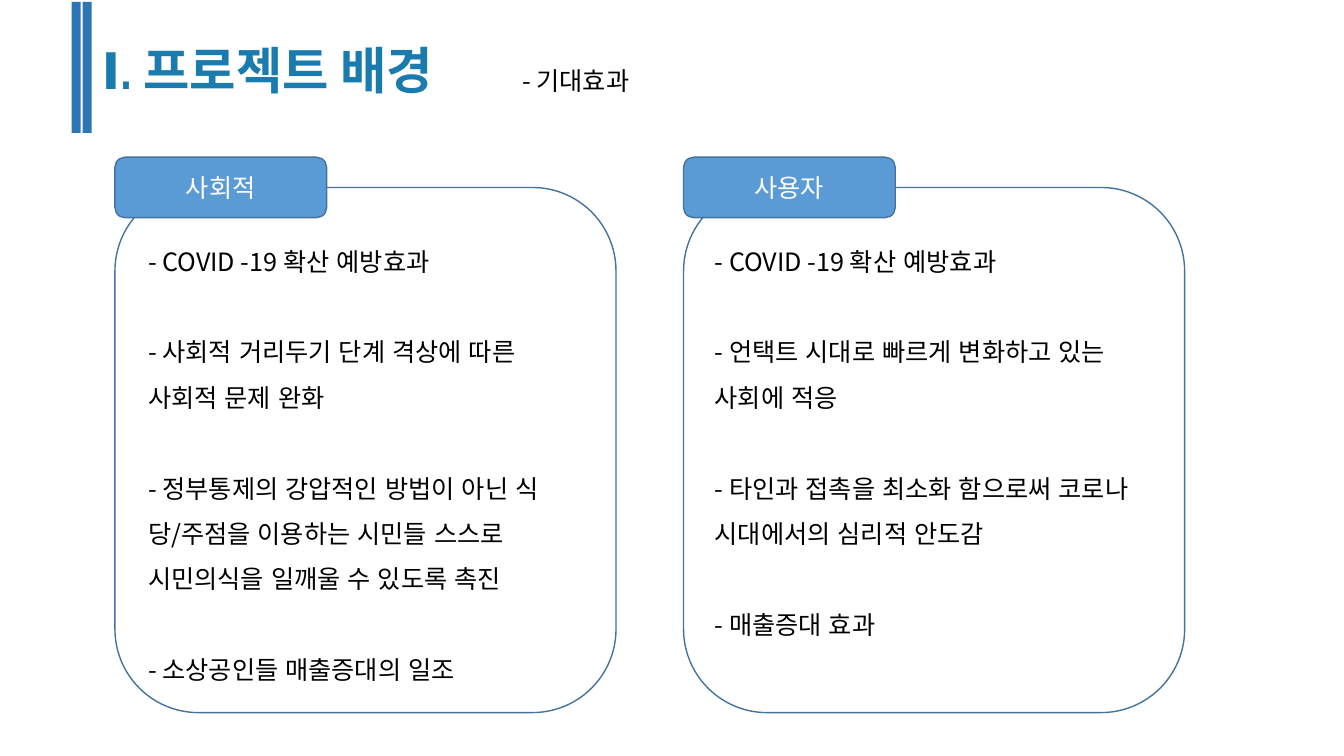
from pptx import Presentation
from pptx.dml.color import RGBColor
from pptx.enum.lang import MSO_LANGUAGE_ID
from pptx.enum.shapes import MSO_SHAPE
from pptx.enum.text import MSO_ANCHOR, PP_ALIGN
from pptx.oxml.ns import qn
from pptx.util import Inches, Pt
from lxml import etree

RECT, ROUND = MSO_SHAPE.RECTANGLE, MSO_SHAPE.ROUNDED_RECTANGLE
CENTER, MIDDLE = PP_ALIGN.CENTER, MSO_ANCHOR.MIDDLE
KOREAN = MSO_LANGUAGE_ID.KOREAN

WHITE = RGBColor(0xFF, 0xFF, 0xFF)
BLACK = RGBColor(0x00, 0x00, 0x00)
TITLE_BLUE = RGBColor(0x1A, 0x7B, 0xAE)
BAR_BLUE = RGBColor(0x2E, 0x75, 0xB6)
TAB_BLUE = RGBColor(0x5B, 0x9B, 0xD5)
OUTLINE = RGBColor(0x43, 0x73, 0x9E)

BODY_FONT, TITLE_FONT = "Noto Sans CJK KR", "Arial Narrow"

# Left edge, heading, text box left edge, text box height, effects
PANELS = [
    (1.14, "사회적", 1.37, 5.04, [
        "- COVID -19 확산 예방효과",
        "- 사회적 거리두기 단계 격상에 따른  사회적 문제 완화",
        "- 정부통제의 강압적인 방법이 아닌 식당/주점을 이용하는 시민들 스스로 "
        "시민의식을 일깨울 수 있도록 촉진",
        "- 소상공인들 매출증대의 일조",
    ]),
    (6.78, "사용자", 6.99, 4.13, [
        "- COVID -19 확산 예방효과",
        "- 언택트 시대로 빠르게 변화하고 있는 사회에 적응",
        "- 타인과 접촉을 최소화 함으로써 코로나 시대에서의 심리적 안도감",
        "- 매출증대 효과",
    ]),
]


class SlideBuilder:
    def __init__(self, slide):
        self.s = slide

    def style(self, p, size=18, color=BLACK, font=BODY_FONT, bold=False):
        for r in p.runs:
            r.font.size, r.font.bold, r.font.name = Pt(size), bold, font
            r.font.color.rgb = color
            r.font.language_id = KOREAN
            # East Asian typeface for the Hangul
            ea = etree.SubElement(r.font._element, qn("a:ea"))
            ea.set("typeface", font)

    def shape(self, kind, x, y, w, h, fill, line=None):
        sp = self.s.shapes.add_shape(kind, Inches(x), Inches(y), Inches(w), Inches(h))
        sp.shadow.inherit = False
        sp.fill.solid()
        sp.fill.fore_color.rgb = fill
        if line is None:
            sp.line.fill.background()
        else:
            sp.line.color.rgb = line
            sp.line.width = Pt(1)
        return sp

    def tab(self, x, y, w, h, text):
        tf = self.shape(ROUND, x, y, w, h, TAB_BLUE, OUTLINE).text_frame
        tf.text = text
        tf.vertical_anchor = MIDDLE
        p = tf.paragraphs[0]
        p.alignment = CENTER
        self.style(p, color=WHITE)

    def text(self, x, y, w, h, lines, spacing=None, gap=0, **style):
        tf = self.s.shapes.add_textbox(Inches(x), Inches(y), Inches(w), Inches(h)).text_frame
        tf.word_wrap = True
        for i, line in enumerate(lines):
            p = tf.paragraphs[0] if i == 0 else tf.add_paragraph()
            p.text = line
            if spacing:
                p.line_spacing = spacing
            if i and gap:
                p.space_before = Pt(gap)
            self.style(p, **style)


def main():
    prs = Presentation()
    prs.slide_width, prs.slide_height = Inches(13.33), Inches(7.5)
    b = SlideBuilder(prs.slides.add_slide(prs.slide_layouts[6]))

    # Title with its double bar and subtitle
    b.text(0.91, 0.34, 7.44, 0.71, ["Ⅰ. 프로젝트 배경"],
           size=36, color=TITLE_BLUE, font=TITLE_FONT, bold=True)
    for x in (0.71, 0.82):
        b.shape(RECT, x, 0.02, 0.09, 1.3, BAR_BLUE)
    b.text(5.08, 0.6, 2.74, 0.4, ["- 기대효과"])

    # Panels, each with a heading tab and its effects
    for x, heading, text_x, text_h, effects in PANELS:
        b.shape(ROUND, x, 1.86, 4.97, 5.21, WHITE, OUTLINE)
        b.tab(x, 1.56, 2.1, 0.6, heading)
        b.text(text_x, 2.24, 4.54, text_h, effects, spacing=1.5, gap=32.5)

    prs.save("out.pptx")


if __name__ == "__main__":
    main()
